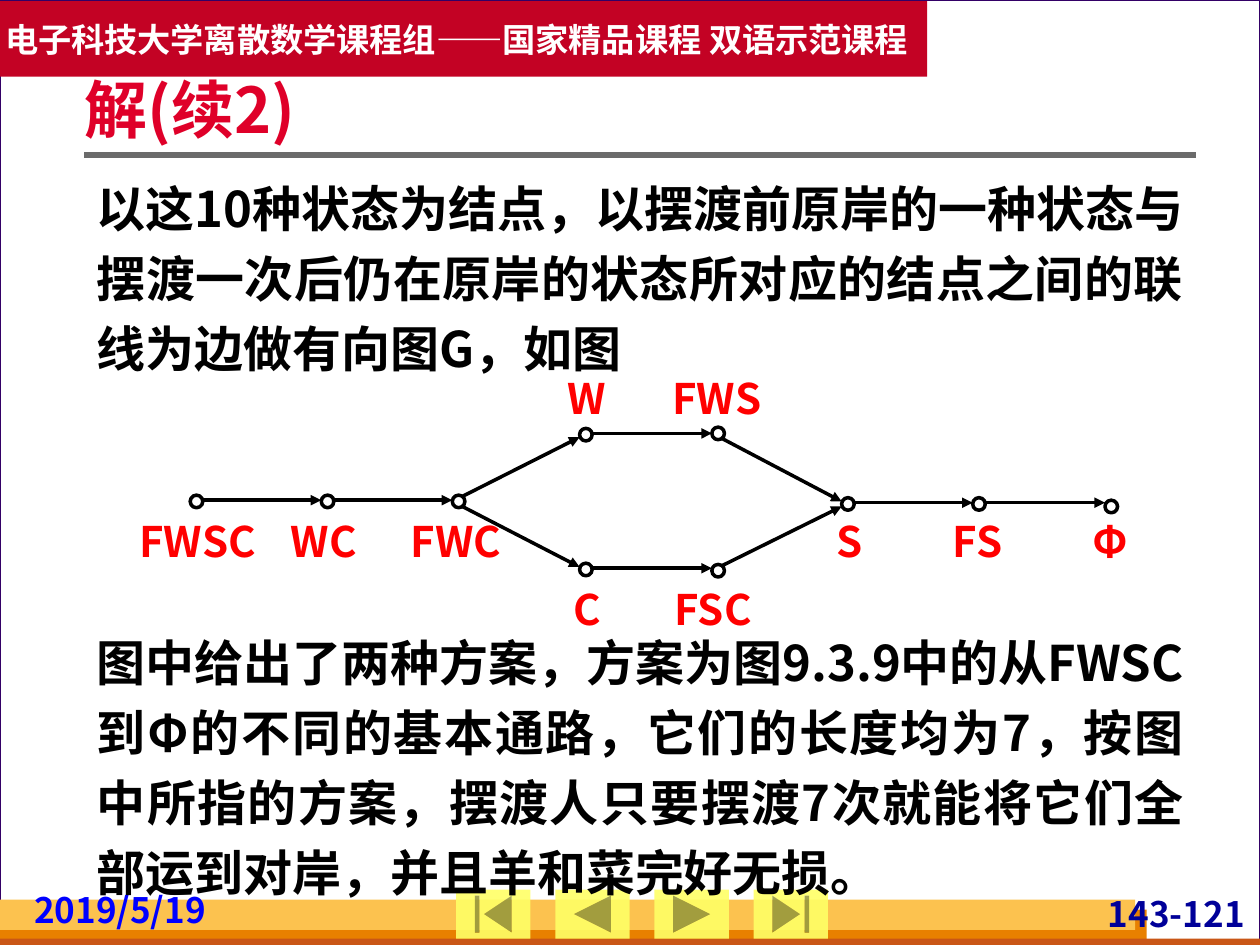
from dataclasses import dataclass
from lxml import etree
from pptx import Presentation
from pptx.dml.color import RGBColor
from pptx.enum.shapes import MSO_CONNECTOR, MSO_SHAPE
from pptx.enum.text import MSO_ANCHOR, PP_ALIGN
from pptx.oxml.ns import qn
from pptx.util import Inches, Pt

LINE = MSO_CONNECTOR.STRAIGHT
RECT, OVAL = MSO_SHAPE.RECTANGLE, MSO_SHAPE.OVAL
BEGIN, BACK = MSO_SHAPE.ACTION_BUTTON_BEGINNING, MSO_SHAPE.ACTION_BUTTON_BACK_OR_PREVIOUS
NEXT, END = MSO_SHAPE.ACTION_BUTTON_FORWARD_OR_NEXT, MSO_SHAPE.ACTION_BUTTON_END
LEFT, MID, RIGHT, FULL = PP_ALIGN.LEFT, PP_ALIGN.CENTER, PP_ALIGN.RIGHT, PP_ALIGN.JUSTIFY
TOP, CENTER = MSO_ANCHOR.TOP, MSO_ANCHOR.MIDDLE
COLS, ROWS = 100, 75


@dataclass(frozen=True)
class Theme:
    font: str = "Noto Sans CJK SC"
    back: str = "D8DADA"
    paper: str = "FFFFFF"
    ink: str = "000000"
    frame: str = "330066"
    banner: str = "C30224"
    title: str = "DF0029"
    label: str = "FF0000"
    rule: str = "6B6B6B"
    amber: str = "FCC24F"
    orange: str = "E88000"
    rust: str = "C95616"
    button: str = "FFFF66"
    date: str = "0000FF"
    page: str = "000099"
    big: int = 36
    body: int = 28
    tag: int = 24
    foot: int = 20
    head: int = 19


def write(frame, text, size, color, font, align=LEFT, anchor=TOP,
          pad=(0.1, 0.05, 0.1, 0.05), lead=1.2, wrap=True):
    frame.word_wrap = wrap
    frame.vertical_anchor = anchor
    (frame.margin_left, frame.margin_top,
     frame.margin_right, frame.margin_bottom) = map(Inches, pad)
    para = frame.paragraphs[0]
    para.alignment = align
    para.space_before = Pt(0)
    para.line_spacing = Pt(round(size * lead))
    run = para.add_run()
    run.text = text
    run.font.size = Pt(size)
    run.font.bold = True
    run.font.color.rgb = RGBColor.from_string(color)
    run.font.name = font
    east = etree.SubElement(run.font._element, qn("a:ea"))
    east.set("typeface", font)


class Deck:
    def __init__(self, theme):
        self.theme = theme
        self.file = Presentation()
        self.file.slide_width, self.file.slide_height = Inches(10), Inches(7.5)
        self.col = self.file.slide_width / COLS
        self.row = self.file.slide_height / ROWS
        self.slide = self.file.slides.add_slide(self.file.slide_layouts[5])
        self.shapes = self.slide.shapes
        fill = self.slide.background.fill
        fill.solid()
        fill.fore_color.rgb = RGBColor.from_string(theme.back)

    def place(self, x, y, w, h):
        return (round(x * self.col), round(y * self.row),
                round(w * self.col), round(h * self.row))

    def shape(self, kind, box, fill, line=None, width=1, alpha=None):
        item = self.shapes.add_shape(kind, *self.place(*box))
        item.shadow.inherit = False
        item.fill.solid()
        item.fill.fore_color.rgb = RGBColor.from_string(fill)
        if alpha:
            tint = item._element.spPr.find(".//" + qn("a:srgbClr"))
            etree.SubElement(tint, qn("a:alpha")).set("val", str(alpha * 1000))
        if line:
            item.line.color.rgb = RGBColor.from_string(line)
            item.line.width = Pt(width)
        else:
            item.line.fill.background()
        return item

    def text(self, words, box, size, color, **style):
        item = self.shapes.add_textbox(*self.place(*box))
        write(item.text_frame, words, size, color, self.theme.font, **style)

    def title(self, words, box, **style):
        item = self.shapes.title
        item.left, item.top, item.width, item.height = self.place(*box)
        self.shapes._spTree.append(item._element)
        write(item.text_frame, words, self.theme.big, self.theme.title,
              self.theme.font, **style)

    def line(self, start, end, color, width, arrow=False):
        item = self.shapes.add_connector(LINE, *self.place(*start, *end))
        item.line.color.rgb = RGBColor.from_string(color)
        item.line.width = Pt(width)
        if arrow:
            etree.SubElement(item.line._get_or_add_ln(), qn("a:tailEnd")).set("type", "triangle")
        etree.SubElement(item._element.spPr, qn("a:effectLst"))

    def edge(self, start, end):
        (x, y), (u, v) = start, end
        if abs(v - y) < 1:
            self.line((x + 0.5, y - 0.1), (u - 0.5, y - 0.1), self.theme.ink, 2, True)
        else:
            way = 1 if v > y else -1
            self.line((x + 0.3, y + 0.4 * way), (u - 0.5, v - 0.2 * way),
                      self.theme.ink, 2, True)

    def node(self, x, y):
        self.shape(OVAL, (x - 0.5, y - 0.5, 1, 1), self.theme.paper, self.theme.ink, 2)


def main():
    theme = Theme()
    deck = Deck(theme)

    deck.shape(RECT, (0, 0, COLS, ROWS), theme.paper, theme.frame, 0.75)
    deck.shape(RECT, (0, 72.2, 91, 2.8), theme.orange)
    deck.shape(RECT, (0, 74.5, COLS, 0.5), theme.rust)
    deck.shape(RECT, (0, 71.4, 90.1, 2.4), theme.amber)
    thin = (0.04, 0, 0.04, 0)
    deck.text("143-121", (87, 70.8, 12.2, 3.3), theme.foot, theme.page, align=RIGHT, pad=thin)
    deck.line((6.7, 12.3), (94.9, 12.3), theme.rule, 3)
    for i, kind in enumerate((BEGIN, BACK, NEXT, END)):
        deck.shape(kind, (36.2 + 7.87 * i, 70.6, 5.9, 3.9), theme.button, alpha=90)
    banner = deck.shape(RECT, (0, 0.1, 73.6, 6), theme.banner)
    write(banner.text_frame, "电子科技大学离散数学课程组——国家精品课程 双语示范课程",
          theme.head, theme.paper, theme.font, anchor=CENTER,
          pad=(0.04, 0.05, 0.04, 0.05), wrap=False)
    deck.text("2019/5/19", (2.3, 70.5, 16.5, 3.3), theme.foot, theme.date, pad=thin)
    deck.title("解(续2)", (6.7, 3.6, 88.2, 10.1), anchor=CENTER, pad=(0, 0.05, 0.1, 0.05))

    prose = dict(align=FULL, lead=1.43)
    deck.text("以这10种状态为结点，以摆渡前原岸的一种状态与摆渡一次后仍在原岸的状态"
              "所对应的结点之间的联线为边做有向图G，如图",
              (6.7, 12.8, 88.2, 17.8), theme.body, theme.ink, **prose)

    high, level, low = 29.5, 40.9, 46.3
    nodes = {
        "FWSC": (15.6, 39.8, 15.7, level),
        "WC": (26, 39.8, 25.7, level),
        "FWC": (36.4, 39.8, 36.2, level),
        "W": (46.5, 34.5, 46.6, high),
        "C": (46.5, 45.2, 46.6, low),
        "FWS": (57, 34.4, 56.9, high),
        "FSC": (57, 45.3, 56.6, low),
        "S": (67.3, 40, 67.4, level),
        "FS": (77.7, 40, 77.6, level),
        "Φ": (88.2, 40.2, 88.1, level),
    }
    paths = (("FWSC", "WC", "FWC", "W", "FWS", "S", "FS", "Φ"),
             ("FWC", "C", "FSC", "S"))
    for path in paths:
        for a, b in zip(path, path[1:]):
            deck.edge(nodes[a][:2], nodes[b][:2])
    for name, (x, y, mid, top) in nodes.items():
        deck.node(x, y)
        deck.text(name, (mid - 5.25, top, 10.5, 4.8), theme.tag, theme.label,
                  align=MID, pad=(0, 0, 0, 0))

    deck.text("图中给出了两种方案，方案为图9.3.9中的从FWSC到Φ的不同的基本通路，"
              "它们的长度均为7，按图中所指的方案，摆渡人只要摆渡7次就能将它们全部运到对岸，"
              "并且羊和菜完好无损。",
              (6.7, 48.8, 88.2, 23.4), theme.body, theme.ink, **prose)
    deck.file.save("out.pptx")


if __name__ == "__main__":
    main()
